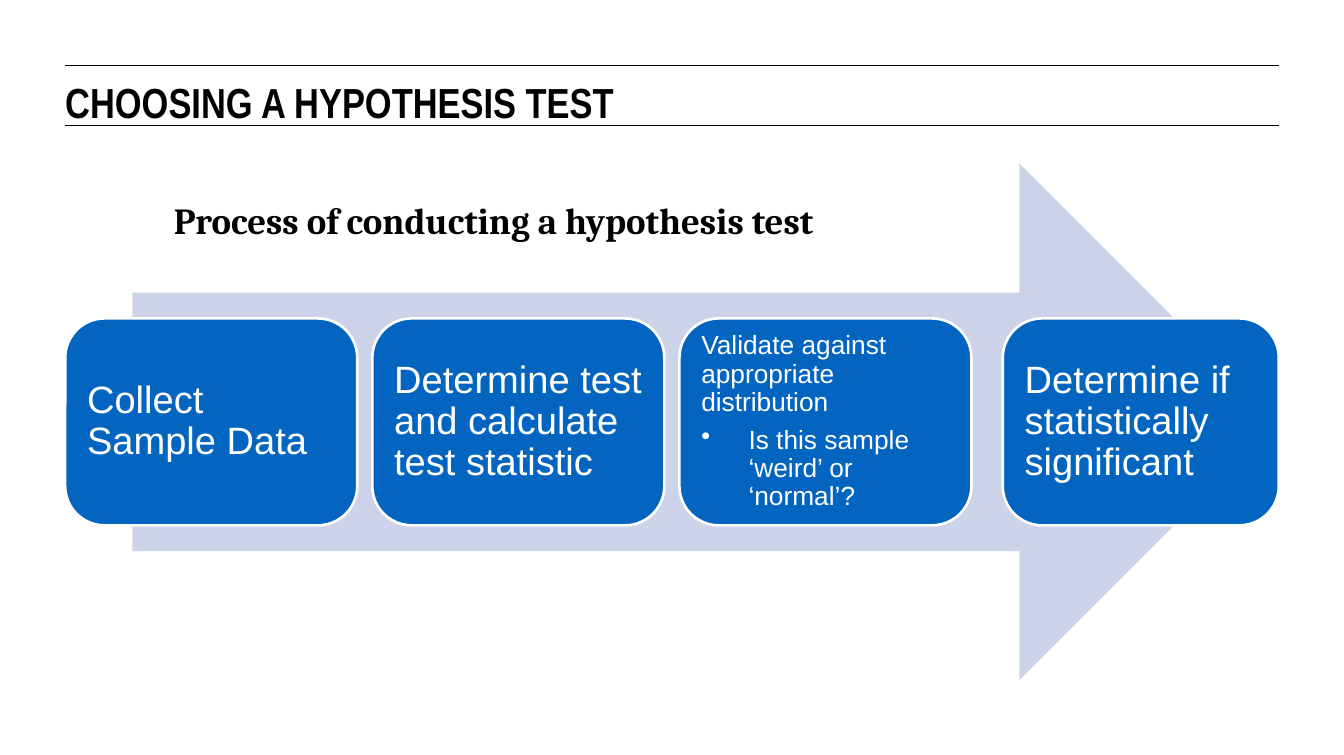
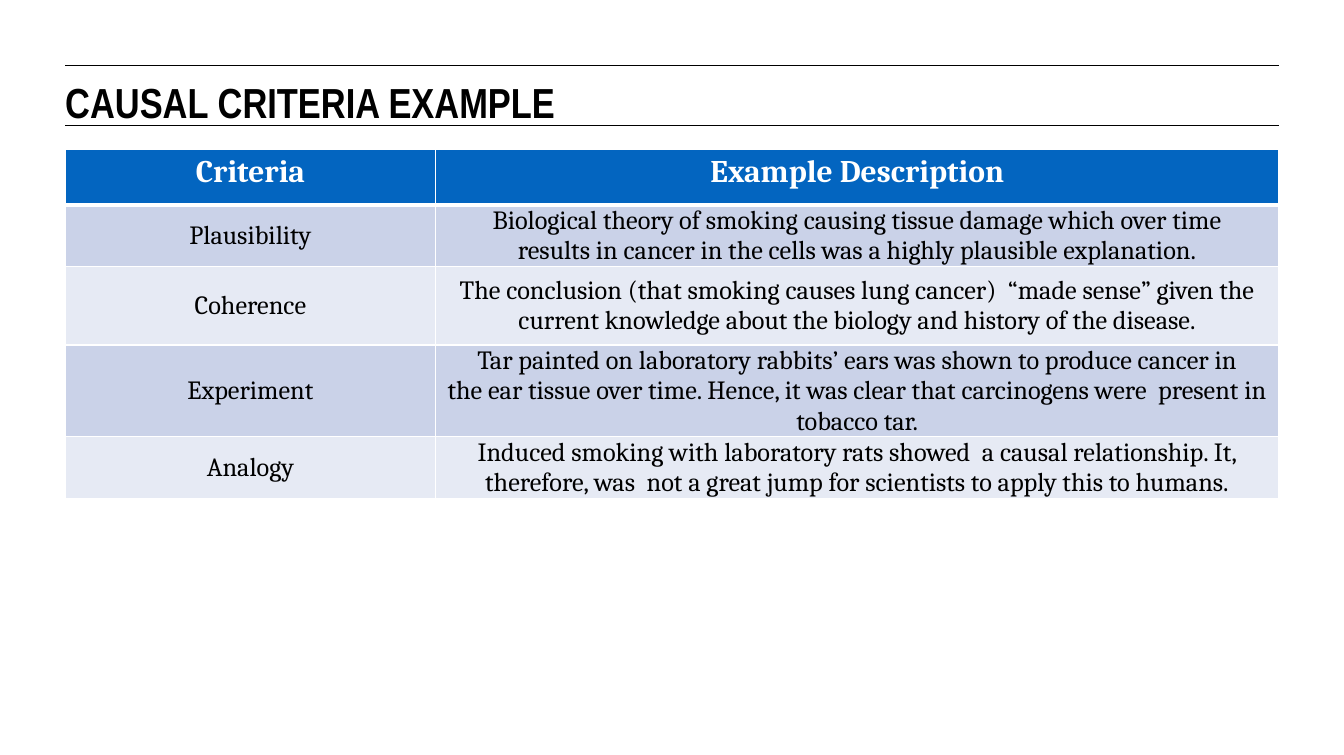
from lxml import etree
from pptx import Presentation
from pptx.dml.color import RGBColor
from pptx.enum.shapes import MSO_CONNECTOR, MSO_SHAPE
from pptx.enum.text import MSO_ANCHOR, MSO_AUTO_SIZE, PP_ALIGN
from pptx.oxml.ns import qn
from pptx.util import Inches, Pt

BLACK = RGBColor(0x00, 0x00, 0x00)
WHITE = RGBColor(0xFF, 0xFF, 0xFF)
BLUE = RGBColor(0x03, 0x65, 0xC0)
PALE = RGBColor(0xCC, 0xD3, 0xE8)
BAND_DARK = RGBColor(0xCA, 0xD2, 0xE8)
BAND_LIGHT = RGBColor(0xE6, 0xEA, 0xF4)

LEFT, CENTER = PP_ALIGN.LEFT, PP_ALIGN.CENTER
TOP, MIDDLE = MSO_ANCHOR.TOP, MSO_ANCHOR.MIDDLE
FIXED, GROW = MSO_AUTO_SIZE.NONE, MSO_AUTO_SIZE.SHAPE_TO_FIT_TEXT
STRAIGHT = MSO_CONNECTOR.STRAIGHT
ARROW, ROUNDED = MSO_SHAPE.RIGHT_ARROW, MSO_SHAPE.ROUNDED_RECTANGLE

TITLE = {"name": "Arial Narrow", "size": Pt(32), "bold": True}
SUBTITLE = {"name": "Cambria", "size": Pt(28), "bold": True}
STEP = {"name": "Arial", "size": Pt(29)}
STEP_SMALL = {"name": "Arial", "size": Pt(20)}
HEAD = {"name": "Cambria", "size": Pt(24), "bold": True}
BODY = {"name": "Cambria", "size": Pt(20), "bold": False}

MARGIN = 4.85
CONTENT = 100 - 2 * MARGIN
MARGIN_SIDES = ("margin_left", "margin_top", "margin_right", "margin_bottom")


class Deck:
    def __init__(self, width, height):
        self.prs = Presentation()
        self.prs.slide_width = Inches(width)
        self.prs.slide_height = Inches(height)
        self.s = None

    def x(self, percent):
        return round(self.prs.slide_width * percent / 100)

    def y(self, percent):
        return round(self.prs.slide_height * percent / 100)

    def box(self, left, top, width, height):
        return self.x(left), self.y(top), self.x(width), self.y(height)

    def slide(self, title):
        self.s = self.prs.slides.add_slide(self.prs.slide_layouts[5])
        for top in (8.64, 16.65):
            self.rule(top)
        sp = self.s.shapes.title
        sp.left, sp.top, sp.width, sp.height = self.box(MARGIN, 10.14, CONTENT, 5.88)
        self.set_text(sp.text_frame, [title], TITLE, BLACK, margins=(0, 0, 0, 0))

    def rule(self, top):
        line = self.s.shapes.add_connector(
            STRAIGHT, self.x(MARGIN), self.y(top), self.x(100 - MARGIN), self.y(top))
        line.line.color.rgb = BLACK
        line.line.width = Pt(0.75)
        etree.SubElement(line._element.spPr, qn("a:effectLst"))

    def set_text(self, tf, lines, style, color, align=LEFT, anchor=TOP,
                 margins=(0.1, 0.05, 0.1, 0.05), fit=FIXED):
        tf.word_wrap = True
        tf.auto_size = fit
        tf.vertical_anchor = anchor
        for side, value in zip(MARGIN_SIDES, margins):
            setattr(tf, side, Inches(value))
        self.fill_text(tf, lines, style, color, align)

    def fill_text(self, tf, lines, style, color, align):
        for i, text in enumerate(lines):
            p = tf.add_paragraph() if i else tf.paragraphs[0]
            p.alignment = align
            r = p.add_run()
            r.text = text
            for key, value in style.items():
                setattr(r.font, key, value)
            r.font.color.rgb = color

    def text(self, box, line, style):
        sp = self.s.shapes.add_textbox(*self.box(*box))
        self.set_text(sp.text_frame, [line], style, BLACK, fit=GROW)

    def shape(self, kind, box, fill):
        sp = self.s.shapes.add_shape(kind, *self.box(*box))
        sp.shadow.inherit = False
        sp.fill.solid()
        sp.fill.fore_color.rgb = fill
        sp.line.fill.background()
        return sp

    def step(self, box, lines, style):
        sp = self.shape(ROUNDED, box, BLUE)
        sp.adjustments[0] = 0.19
        sp.line.color.rgb = WHITE
        sp.line.width = Pt(2)
        tf = sp.text_frame
        self.set_text(tf, lines, style, WHITE, anchor=MIDDLE, margins=(0.11,) * 4)
        for p in tf.paragraphs:
            p.line_spacing = 0.9
            p.space_after = round(style["size"] * 0.35)
        for p in tf.paragraphs[1:]:
            self.bullet(p)

    def bullet(self, p):
        pPr = p._p.get_or_add_pPr()
        pPr.set("marL", str(Inches(0.5)))
        pPr.set("indent", str(-Inches(0.5)))
        etree.SubElement(pPr, qn("a:buChar"), char="•")

    def borders(self, cell, **widths):
        tcPr = cell._tc.get_or_add_tcPr()
        for side in "LRTB":
            ln = etree.SubElement(tcPr, qn("a:ln" + side), w=str(Pt(widths.get(side, 1))))
            fill = etree.SubElement(ln, qn("a:solidFill"))
            etree.SubElement(fill, qn("a:srgbClr"), val=str(WHITE))

    def table(self, top, cols, heights, rows):
        box = self.box(MARGIN, top, sum(cols), sum(heights))
        table = self.s.shapes.add_table(len(rows), len(cols), *box).table
        for col, width in zip(table.columns, cols):
            col.width = self.x(width)
        for i, (row, height, cells) in enumerate(zip(table.rows, heights, rows)):
            row.height = self.y(height)
            for cell, lines in zip(row.cells, cells):
                self.cell(cell, i, lines)

    def cell(self, cell, row, lines):
        if row == 0:
            style, color, fill = HEAD, WHITE, BLUE
            anchor, margins = TOP, (0.1, 0.05, 0.1, 0.05)
            self.borders(cell, B=3)
        else:
            style, color = BODY, BLACK
            fill = BAND_DARK if row % 2 else BAND_LIGHT
            anchor, margins = MIDDLE, (0.01, 0.01, 0.01, 0)
            self.borders(cell, T=3 if row == 1 else 1)
        cell.fill.solid()
        cell.fill.fore_color.rgb = fill
        cell.vertical_anchor = anchor
        for side, value in zip(MARGIN_SIDES, margins):
            setattr(cell, side, Inches(value))
        self.fill_text(cell.text_frame, lines, style, color, CENTER)


def process_slide(deck):
    deck.slide("CHOOSING A HYPOTHESIS TEST")
    top, height, step_height = 21.65, 68.46, 27.41
    deck.shape(ARROW, (9.85, top, 85.23, height), PALE)
    step_top = top + (height - step_height) / 2
    pitch, width, last_width = 22.85, 21.73, 20.54
    steps = [
        (["Collect Sample Data"], STEP),
        (["Determine test and calculate test statistic"], STEP),
        (["Validate against appropriate distribution",
          "Is this sample ‘weird’ or ‘normal’?"], STEP_SMALL),
    ]
    for i, (lines, style) in enumerate(steps):
        deck.step((MARGIN + i * pitch, step_top, width, step_height), lines, style)
    deck.step((100 - MARGIN - last_width, step_top, last_width, step_height),
              ["Determine if statistically significant"], STEP)
    deck.text((12.24, 25.53, 57.45, 7.13),
              "Process of conducting a hypothesis test", SUBTITLE)


def criteria_slide(deck):
    deck.slide("CAUSAL CRITERIA EXAMPLE")
    rows = [
        (["Criteria"], ["Example Description"]),
        (["Plausibility"],
         ["Biological theory of smoking causing tissue damage which over time",
          "results in cancer in the cells was a highly plausible explanation."]),
        (["Coherence"],
         ["The conclusion (that smoking causes lung cancer)  “made sense” given the "
          "current knowledge about the biology and history of the disease."]),
        (["Experiment"],
         ["Tar painted on laboratory rabbits’ ears was shown to produce cancer in",
          "the ear tissue over time. Hence, it was clear that carcinogens were  "
          "present in tobacco tar."]),
        (["Analogy"],
         ["Induced smoking with laboratory rats showed  a causal relationship. It, "
          "therefore, was  not a great jump for scientists to apply this to humans."]),
    ]
    first = 27.57
    deck.table(19.77, (first, CONTENT - first), (7.4, 5.26, 10.39, 5.26, 5.26), rows)


def main():
    deck = Deck(14.22, 7.99)
    process_slide(deck)
    criteria_slide(deck)
    deck.prs.save("out.pptx")


if __name__ == "__main__":
    main()
